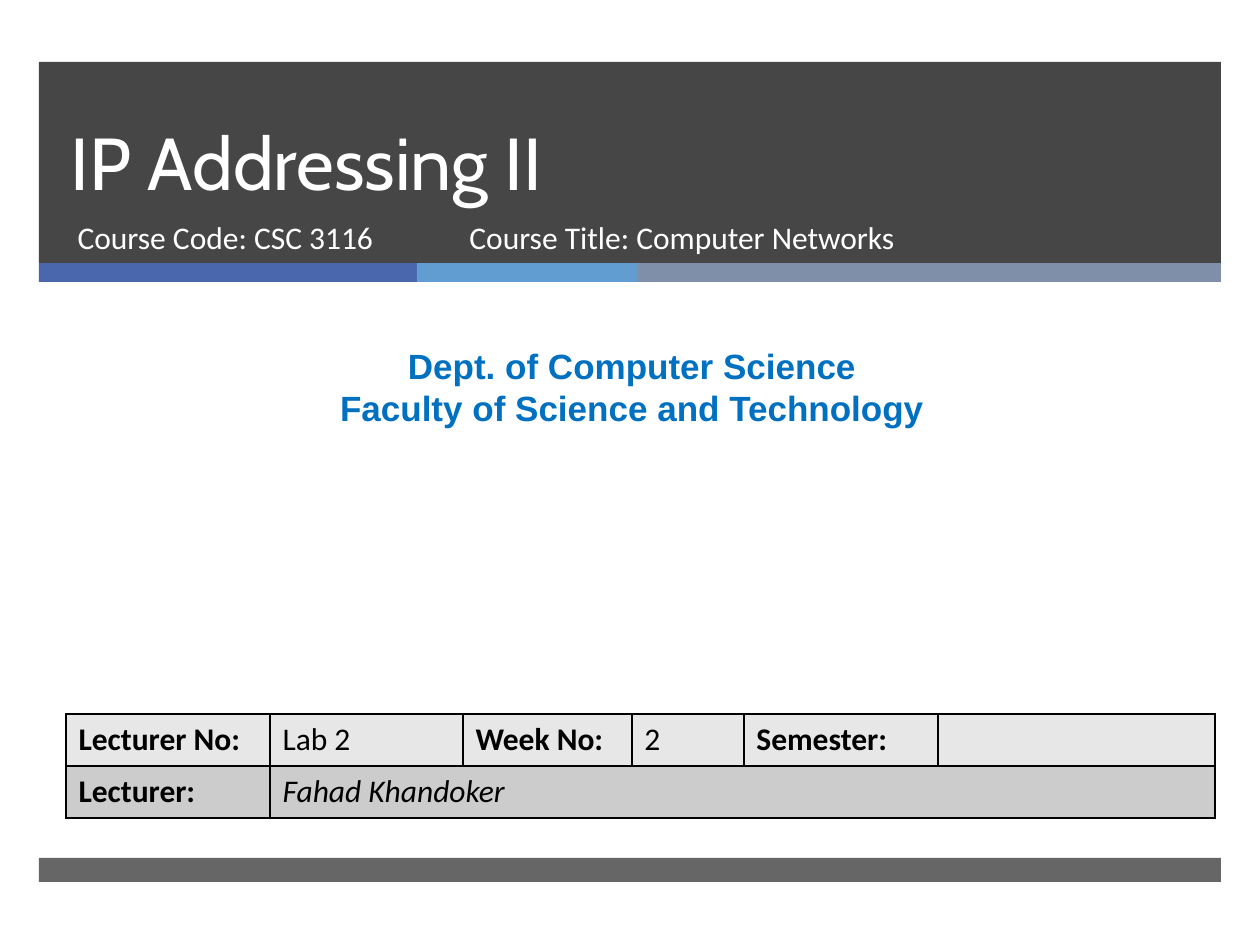
from lxml import etree
from pptx import Presentation
from pptx import util as u
from pptx.dml.color import RGBColor
from pptx.enum import shapes, text
from pptx.oxml.ns import qn

SCALE = 914400 / 126  # EMU in one px


def px(n):
    return u.Emu(round(n * SCALE))


def rgb(code):
    return RGBColor.from_string(code)


def place(shape, x, y, w, h):
    shape.left, shape.top, shape.width, shape.height = map(px, (x, y, w, h))


def write(frame, lines, size, font, color, bold=False, italic=False,
          align=text.PP_ALIGN.LEFT, anchor=text.MSO_ANCHOR.TOP):
    frame.word_wrap = True
    frame.auto_size = text.MSO_AUTO_SIZE.NONE
    frame.vertical_anchor = anchor
    frame.text = "\n".join(lines)
    for para in frame.paragraphs:
        para.alignment = align
        para.space_before = u.Pt(0)
        face = para.font
        face.size, face.name, face.bold, face.italic = u.Pt(size), font, bold, italic
        face.color.rgb = rgb(color)


def bar(slide, x, y, w, h, color, alpha=100):
    shape = slide.shapes.add_shape(
        shapes.MSO_SHAPE.RECTANGLE, px(x), px(y), px(w), px(h))
    shape.shadow.inherit = False
    shape.line.fill.background()
    shape.fill.solid()
    shape.fill.fore_color.rgb = rgb(color)
    if alpha < 100:
        tone = shape.fill._xPr.find(qn("a:solidFill"))[0]
        etree.SubElement(tone, qn("a:alpha")).set("val", str(alpha * 1000))
    return shape


def header(slide, x, y, w, h):
    # Dark band over a three-colour strip, behind the placeholders
    strip = 19
    parts = [bar(slide, x, y, w, h - strip, "262626", 85)]
    left = x
    for width, color in ((378, "4A66AC"), (221, "629DD1"), (w - 599, "7F8FA9")):
        parts.append(bar(slide, left, y + h - strip, width, strip, color))
        left += width
    tree = slide.shapes._spTree
    for i, part in enumerate(parts):
        tree.insert(2 + i, part._element)

    # Title
    title = slide.shapes.title
    place(title, x + 19, y, 1076, 150)
    write(title.text_frame, ["IP Addressing II"], 42, "Cabin", "FFFFFF",
          anchor=text.MSO_ANCHOR.BOTTOM)
    title.text_frame.paragraphs[0].line_spacing = u.Pt(46)

    # Course code and title
    code = slide.placeholders[1]
    place(code, x + 26, y + 150, 384, 67)
    course = slide.shapes.add_textbox(px(x + 418), px(y + 150), px(573), px(67))
    for box, line in ((code, "Course Code: CSC 3116"),
                      (course, "Course Title: Computer Networks")):
        write(box.text_frame, [line], 18, "Calibri", "FFFFFF")


def dept(slide, x, y, w, h):
    box = slide.shapes.add_textbox(px(x), px(y), px(w), px(h))
    write(box.text_frame,
          ["Dept. of Computer Science", "Faculty of Science and Technology"],
          20, "Arial", "0070C0", bold=True, align=text.PP_ALIGN.CENTER)


def border(cell):
    props = cell._tc.get_or_add_tcPr()
    for i, side in enumerate(("lnL", "lnR", "lnT", "lnB")):
        line = etree.Element(qn("a:" + side), w=str(u.Pt(1)))
        fill = etree.SubElement(line, qn("a:solidFill"))
        etree.SubElement(fill, qn("a:srgbClr"), val="000000")
        props.insert(i, line)


def details(slide, x, y, w, h):
    rows = (("Lecturer No:", "Lab 2", "Week No:", "2", "Semester:", ""),
            ("Lecturer:", "Fahad Khandoker", "", "", "", ""))
    widths = (204, 193, 169, 112, 194)
    widths += (w - sum(widths),)
    table = slide.shapes.add_table(
        len(rows), len(widths), px(x), px(y), px(w), px(h)).table
    for col, width in zip(table.columns, widths):
        col.width = px(width)
    for r, (row, color) in enumerate(zip(rows, ("E7E7E7", "CCCCCC"))):
        table.rows[r].height = px(h / len(rows))
        for c, word in enumerate(row):
            cell = table.cell(r, c)
            cell.fill.solid()
            cell.fill.fore_color.rgb = rgb(color)
            border(cell)
            write(cell.text_frame, [word], 18, "Calibri", "000000",
                  bold=c % 2 == 0, italic=r == 1 and c == 1)
    table.cell(1, 1).merge(table.cell(1, 5))


def main():
    deck = Presentation()
    deck.slide_width, deck.slide_height = px(1260), px(945)
    slide = deck.slides.add_slide(deck.slide_layouts[0])
    header(slide, 39, 62, 1182, 220)
    dept(slide, 10, 338, 1244, 97)
    details(slide, 66, 714, 1149, 104)
    bar(slide, 39, 858, 1182, 24, "262626", 70)  # footer
    deck.save("out.pptx")


if __name__ == "__main__":
    main()
